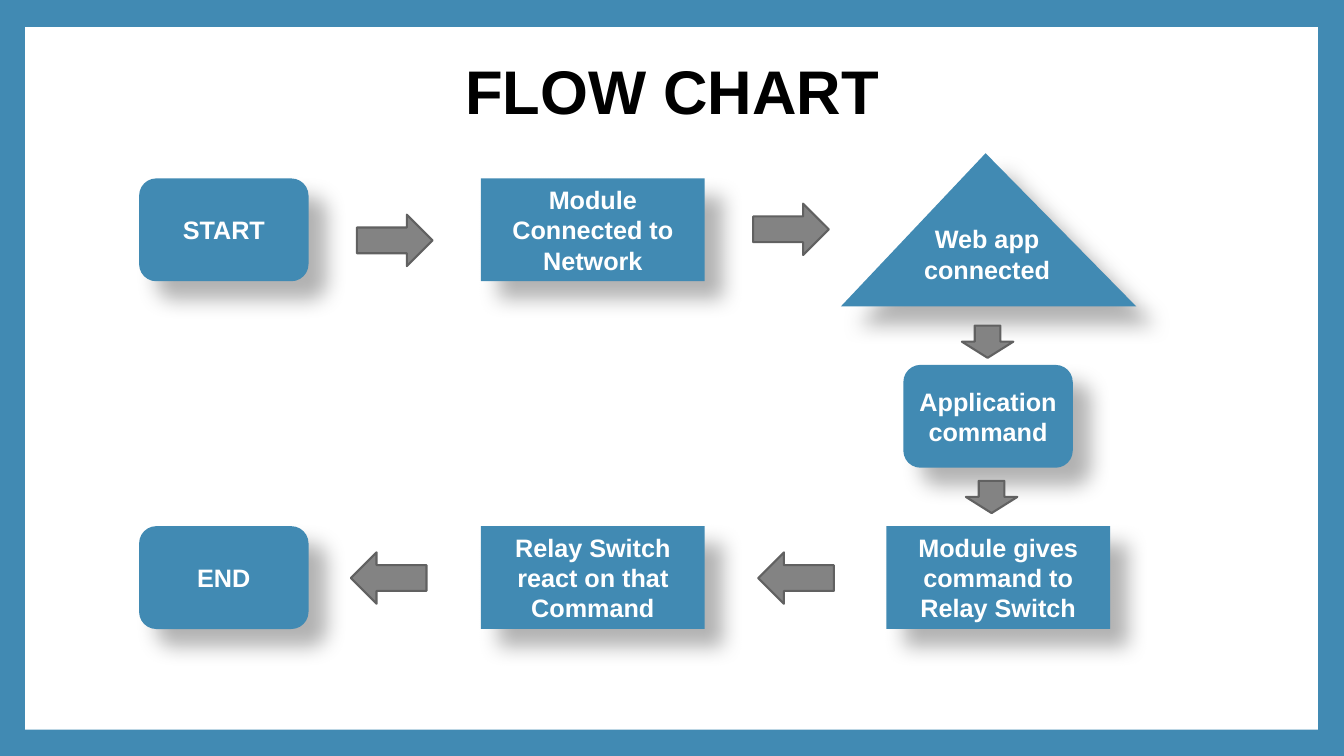
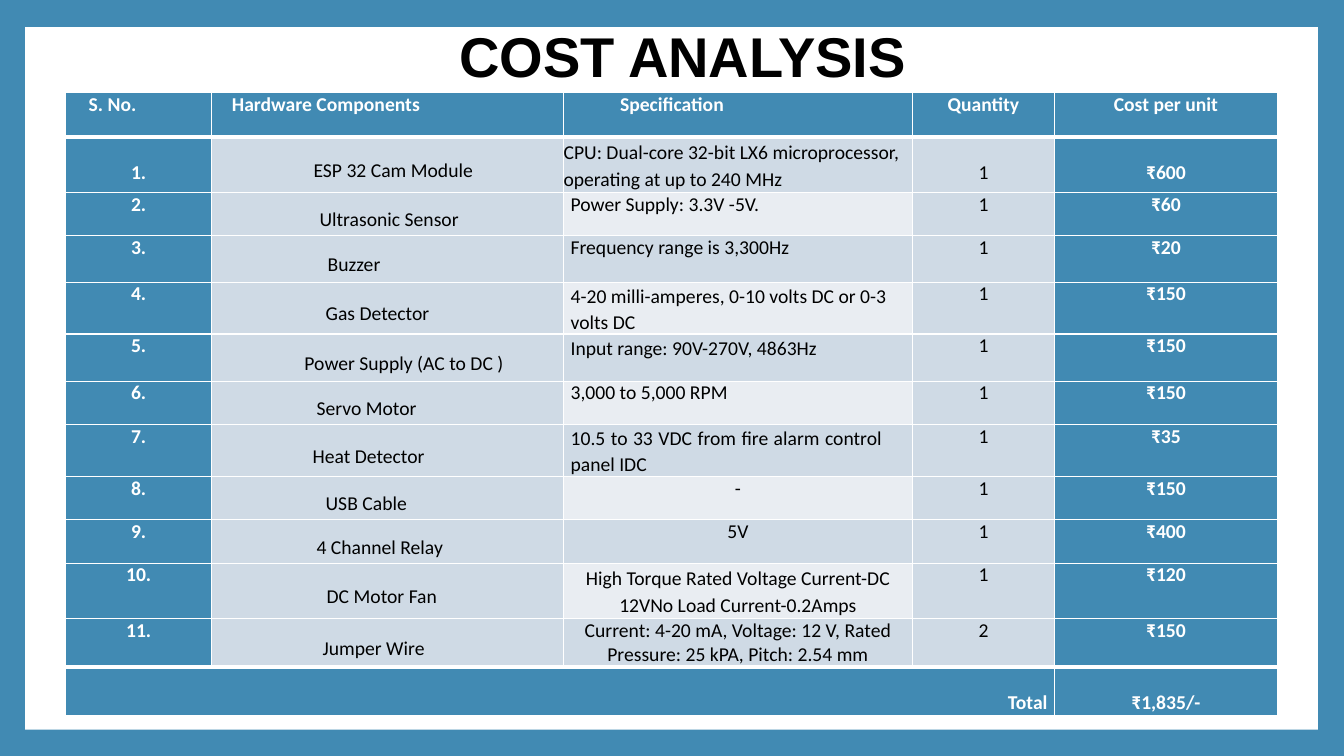
from lxml import etree
from pptx import Presentation
from pptx.dml.color import RGBColor
from pptx.enum import shapes, text
from pptx.oxml import parse_xml
from pptx.oxml.ns import nsdecls, qn
from pptx.util import Inches, Pt

BLUE, WHITE, BLACK = "418AB3", "FFFFFF", "000000"
GREY, DARK_GREY = "838383", "616161"
TINT, PALE = "CFDAE5", "E9EDF2"
HEADING_FONT, TABLE_FONT = "Arial", "Calibri"

SHAPE = shapes.MSO_SHAPE
ANCHOR = text.MSO_ANCHOR
LEFT, CENTER, RIGHT, JUSTIFY = (
    text.PP_ALIGN.LEFT, text.PP_ALIGN.CENTER, text.PP_ALIGN.RIGHT, text.PP_ALIGN.JUSTIFY)


def color(hex_string):
    return RGBColor.from_string(hex_string)


class Deck:
    """Shared style plus the slide being filled."""

    def __init__(self):
        self.prs = Presentation()
        self.prs.slide_width, self.prs.slide_height = Inches(13.33), Inches(7.5)
        backdrop = self.prs.slide_master.background.fill
        backdrop.solid()
        backdrop.fore_color.rgb = color(BLUE)
        self.slide = None

    def new_slide(self, title, box, size):
        self.slide = self.prs.slides.add_slide(self.prs.slide_layouts[6])
        self.shape(SHAPE.RECTANGLE, (0.25, 0.27, 12.82, 6.97), WHITE)
        heading = self.slide.shapes.add_textbox(*map(Inches, box)).text_frame
        heading.word_wrap = True
        heading.vertical_anchor = ANCHOR.MIDDLE
        self.add_words(heading, title, size, BLACK, spacing=0.9)

    def add_words(self, frame, words, size, ink, font=HEADING_FONT, bold=True,
                  align=CENTER, spacing=1.0):
        paragraph = frame.paragraphs[0]
        paragraph.alignment = align
        paragraph.line_spacing = spacing
        run = paragraph.add_run()
        run.text = words
        run.font.name, run.font.size, run.font.bold = font, Pt(size), bold
        run.font.color.rgb = color(ink)

    def shape(self, kind, box, fill, line=None):
        item = self.slide.shapes.add_shape(kind, *map(Inches, box))
        item.shadow.inherit = False
        item.fill.solid()
        item.fill.fore_color.rgb = color(fill)
        if line:
            item.line.color.rgb = color(line)
            item.line.width = Pt(1.5)
        else:
            item.line.fill.background()
        return item

    def step(self, kind, box, words):
        """A flow chart step with a soft shadow to the lower right."""
        item = self.shape(kind, box, BLUE)
        effects = item._element.spPr.find(qn("a:effectLst"))
        shadow = etree.SubElement(
            effects, qn("a:outerShdw"), blurRad=str(Pt(15)), dist=str(Pt(18)),
            dir=str(45 * 60000), algn="tl", rotWithShape="0")
        black = etree.SubElement(shadow, qn("a:srgbClr"), val=BLACK)
        etree.SubElement(black, qn("a:alpha"), val="30000")
        frame = item.text_frame
        frame.word_wrap = True
        frame.vertical_anchor = ANCHOR.MIDDLE
        self.add_words(frame, words, 18, WHITE)
        return item

    def arrow(self, kind, box):
        self.shape(kind, box, GREY, DARK_GREY)

    def table(self, left, top, widths, heights):
        grid = self.slide.shapes.add_table(
            len(heights), len(widths), Inches(left), Inches(top),
            Inches(sum(widths)), Inches(sum(heights))).table
        grid.horz_banding = False
        for column, width in zip(grid.columns, widths):
            column.width = Inches(width)
        for row, height in zip(grid.rows, heights):
            row.height = Inches(height)
        return grid

    def cell(self, cell, words, fill, ink=WHITE, bold=True, align=CENTER, spacing=1.0,
             indent=0, drop=0, right=0, anchor=ANCHOR.TOP, rules=(1, 1)):
        """Fill one cell; rules are the widths of its top and bottom borders."""
        cell.fill.solid()
        cell.fill.fore_color.rgb = color(fill)
        cell.margin_left, cell.margin_right = Inches(indent), Inches(right)
        cell.margin_top, cell.margin_bottom = Inches(drop), 0
        cell.vertical_anchor = anchor
        self.add_words(cell.text_frame, words, 14, ink, TABLE_FONT, bold, align, spacing)
        properties = cell._tc.get_or_add_tcPr()
        for place, (side, width) in enumerate(zip("LRTB", (1, 1, *rules))):
            properties.insert(place, parse_xml(
                f'<a:ln{side} {nsdecls("a")} w="{Pt(width)}"><a:solidFill>'
                f'<a:srgbClr val="{WHITE}"/></a:solidFill></a:ln{side}>'))


def flow_chart(deck):
    deck.new_slide("FLOW CHART", (1.27, 0.55, 10.8, 0.77), 44)
    upper, lower = 1.77, 5.22
    step_height = 1.02

    # Steps: rounded ones are narrow, rectangles are wide
    for kind, width, steps in (
        (SHAPE.ROUNDED_RECTANGLE, 1.68, (
            (1.38, upper, "START"),
            (1.38, lower, "END"),
            (8.96, 3.62, "Application command"))),
        (SHAPE.RECTANGLE, 2.22, (
            (4.77, upper, "Module Connected to Network"),
            (4.77, lower, "Relay Switch react on that Command"),
            (8.79, lower, "Module gives command to Relay Switch"))),
    ):
        for left, top, words in steps:
            deck.step(kind, (left, top, width, step_height), words)

    web_app = deck.step(SHAPE.ISOSCELES_TRIANGLE, (8.34, 1.52, 2.93, 1.52), "Web app connected")
    web_app.adjustments[0] = 0.49
    web_app.text_frame.margin_bottom = Inches(0.33)

    # Arrows
    for kind, width, height, places in (
        (SHAPE.RIGHT_ARROW, 0.75, 0.51, ((3.54, 2.13), (7.47, 2.02))),
        (SHAPE.DOWN_ARROW, 0.51, 0.32, ((9.54, 3.23), (9.58, 4.77))),
        (SHAPE.LEFT_ARROW, 0.75, 0.51, ((7.52, 5.48), (3.48, 5.48))),
    ):
        for left, top in places:
            deck.arrow(kind, (left, top, width, height))


# Header label, alignment, indent
HEADERS = (
    ("S. No.", LEFT, 0.23),
    ("Hardware Components", LEFT, 0.2),
    ("Specification", LEFT, 0.56),
    ("Quantity", CENTER, 0),
    ("Cost per unit", CENTER, 0),
)

# Ways a specification is set
FLUSH = dict(align=LEFT, spacing=1.15)
PLAIN = dict(align=LEFT, indent=0.07)
LOOSE = dict(align=LEFT, indent=0.07, spacing=1.1)
SPREAD = dict(align=JUSTIFY, indent=0.07, right=0.3, spacing=1.1)
MIDDLE = dict(align=CENTER)
MIDDLE_LOOSE = dict(align=CENTER, spacing=1.15)

# Row height, component, its indent, specification, its setting, quantity, cost
PARTS = (
    (0.55, "ESP 32 Cam Module", 1.01,
     "CPU: Dual-core 32-bit LX6 microprocessor, operating at up to 240 MHz", FLUSH, "1", "₹600"),
    (0.43, "Ultrasonic Sensor", 1.07, "Power Supply: 3.3V -5V.", PLAIN, "1", "₹60"),
    (0.46, "Buzzer", 1.15, "Frequency range is 3,300Hz", PLAIN, "1", "₹20"),
    (0.51, "Gas Detector", 1.13,
     "4-20 milli-amperes, 0-10 volts DC or 0-3 volts DC", LOOSE, "1", "₹150"),
    (0.47, "Power Supply (AC to DC )", 0.92, "Input range: 90V-270V, 4863Hz", LOOSE, "1", "₹150"),
    (0.43, "Servo Motor", 1.04, "3,000 to 5,000 RPM", PLAIN, "1", "₹150"),
    (0.51, "Heat Detector", 1.0,
     "10.5 to 33 VDC from fire alarm control panel IDC", SPREAD, "1", "₹35"),
    (0.43, "USB Cable", 1.13, "-", MIDDLE, "1", "₹150"),
    (0.43, "4 Channel Relay", 1.04, "5V", MIDDLE, "1", "₹400"),
    (0.55, "DC Motor Fan", 1.14,
     "High Torque Rated Voltage Current-DC 12VNo Load Current-0.2Amps", MIDDLE_LOOSE, "1", "₹120"),
    (0.48, "Jumper Wire", 1.1,
     "Current: 4-20 mA, Voltage: 12 V, Rated Pressure: 25 kPA, Pitch: 2.54 mm",
     MIDDLE, "2", "₹150"),
)


def cost_analysis(deck):
    deck.new_slide("COST ANALYSIS", (1.52, 0.15, 10.5, 0.88), 40)
    heights = (0.44, *(part[0] for part in PARTS), 0.48)
    costs = deck.table(0.65, 0.92, (1.45, 3.49, 3.46, 1.41, 2.21), heights)
    one_line = 0.24
    last = len(PARTS)

    # Header row
    for column, (label, align, indent) in enumerate(HEADERS):
        deck.cell(costs.cell(0, column), label, BLUE, align=align, indent=indent, rules=(1, 3))

    # One row per part
    body = dict(ink=BLACK, bold=False)
    for row, (_, component, indent, detail, setting, quantity, cost) in enumerate(PARTS, 1):
        serial_cell, component_cell, detail_cell, quantity_cell, cost_cell = costs.rows[row].cells
        rules = dict(rules=(3 if row == 1 else 1, 3 if row == last else 1))
        drop = one_line if row == 1 else 0
        deck.cell(serial_cell, f"{row}.", BLUE, drop=drop, **rules)
        deck.cell(component_cell, component, TINT, align=LEFT, indent=indent, spacing=1.5,
                  anchor=ANCHOR.MIDDLE, **body, **rules)
        deck.cell(detail_cell, detail, TINT if row % 2 else PALE, **setting, **body, **rules)
        deck.cell(quantity_cell, quantity, TINT, drop=drop, **body, **rules)
        deck.cell(cost_cell, cost, BLUE, drop=drop, **rules)

    # Total row
    total = costs.cell(last + 1, 0)
    total.merge(costs.cell(last + 1, 3))
    deck.cell(total, "Total", BLUE, align=RIGHT, drop=one_line, right=0.07, rules=(3, 1))
    deck.cell(costs.cell(last + 1, 4), "₹1,835/-", BLUE, drop=one_line, rules=(3, 1))


def main():
    deck = Deck()
    flow_chart(deck)
    cost_analysis(deck)
    deck.prs.save("out.pptx")


if __name__ == "__main__":
    main()
